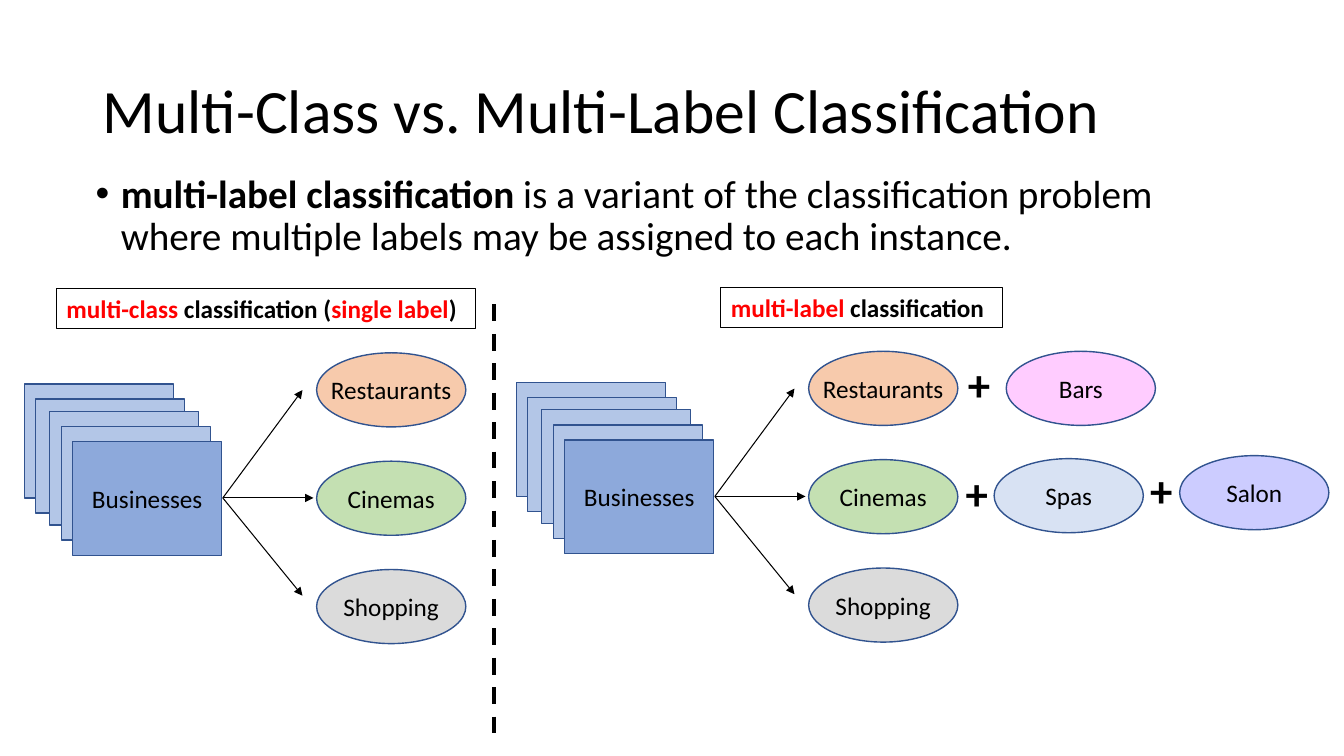
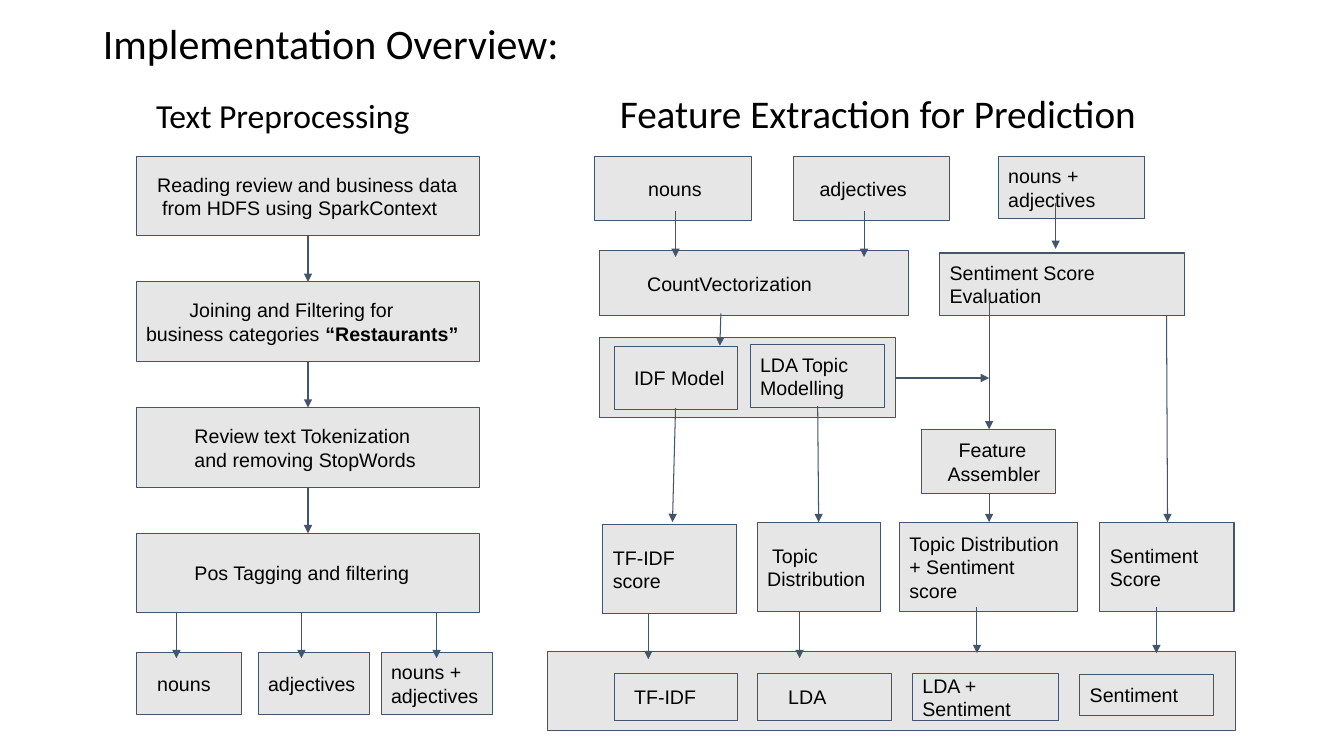
from pptx import Presentation
from pptx.dml.color import RGBColor
from pptx.enum.dml import MSO_LINE
from pptx.enum.shapes import MSO_CONNECTOR, MSO_SHAPE
from pptx.enum.text import MSO_ANCHOR, MSO_AUTO_SIZE, PP_ALIGN
from pptx.oxml.ns import qn
from pptx.util import Inches, Pt
from lxml import etree

RECT, OVAL = MSO_SHAPE.RECTANGLE, MSO_SHAPE.OVAL
LINE, DASH = MSO_CONNECTOR.STRAIGHT, MSO_LINE.DASH
TOP, MIDDLE = MSO_ANCHOR.TOP, MSO_ANCHOR.MIDDLE
LEFT, CENTER = PP_ALIGN.LEFT, PP_ALIGN.CENTER
FIXED = MSO_AUTO_SIZE.NONE

BLACK, RED = "000000", "FF0000"
EDGE, PALE, BLUE = "31538F", "B3C6E7", "8DA9DB"
PEACH, GREEN, GRAY = "F7CAAC", "C4E0B2", "DBDBDB"
PINK, SKY, LILAC = "FFCCFF", "D8E2F3", "CCCCFF"
STEEL, ASH = "44546A", "E7E6E6"
SANS, ARIAL = "Calibri", "Arial"


def cells(*counts):
    return [Inches(count / 10) for count in counts]


def paint(target, color):
    if color is None:
        target.background()
        return
    if hasattr(target, "solid"):
        target.solid()
        target.fore_color.rgb = RGBColor.from_string(color)
    else:
        target.color.rgb = RGBColor.from_string(color)


def node(parent, tag, **attrs):
    return etree.SubElement(parent, qn(tag), **attrs)


def add_run(para, text, size, face=SANS, color=BLACK, bold=False):
    run = para.add_run()
    run.text = text
    font = run.font
    font.size, font.name, font.bold = Pt(size), face, bold
    font.color.rgb = RGBColor.from_string(color)


def set_frame(shape, anchor=TOP, pads=(1, 0.5), wrap=True):
    frame = shape.text_frame
    frame.auto_size, frame.word_wrap = FIXED, wrap
    frame.vertical_anchor = anchor
    side, edge = cells(*pads)
    frame.margin_left = frame.margin_right = side
    frame.margin_top = frame.margin_bottom = edge
    return frame


def add_text(shapes, box):
    frame = set_frame(shapes.add_textbox(*cells(*box)))
    return frame.paragraphs[0]


def add_form(shapes, kind, box, fill, edge, width):
    shape = shapes.add_shape(kind, *cells(*box))
    shape.shadow.inherit = False
    paint(shape.fill, fill)
    paint(shape.line, edge)
    shape.line.width = Pt(width)
    return shape


def add_line(shapes, ends, color, width=0.75, arrow=True):
    line = shapes.add_connector(LINE, *cells(*ends))
    paint(line.line, color)
    line.line.width = Pt(width)
    if arrow:
        node(line.line._get_or_add_ln(), "a:tailEnd", type="triangle")
    node(line._element.spPr, "a:effectLst")
    return line


def add_slide(deck, title, size, box):
    slide = deck.slides.add_slide(deck.slide_layouts[5])
    shape = slide.shapes.title
    shape.left, shape.top, shape.width, shape.height = cells(*box)
    para = set_frame(shape, MIDDLE).paragraphs[0]
    para.alignment, para.line_spacing = LEFT, 0.9
    add_run(para, title, size)
    return slide.shapes


def add_label(shapes, kind, box, fill, text):
    shape = add_form(shapes, kind, box, fill, EDGE, 1)
    if text:
        para = set_frame(shape, MIDDLE, (0, 0), False).paragraphs[0]
        para.alignment = CENTER
        add_run(para, text, 18)


def add_panel(shapes, left, top, extras=(), signs=()):
    group = shapes.add_group_shape().shapes
    for x, y in ((0, 3.1), (1.1, 4.6), (2.5, 5.8), (3.7, 7.3), (4.8, 8.8)):
        front = x == 4.8
        add_label(group, RECT, (left + x, top + y, 14.8, 11.3),
                  BLUE if front else PALE, "Businesses" if front else "")
    for x, y in ((27.6, 3.7), (28.7, 14.4), (27.6, 24.1)):
        add_line(group, (left + 19.7, top + 14.4, left + x, top + y), BLACK)
    kinds = (("Restaurants", PEACH), ("Cinemas", GREEN), ("Shopping", GRAY))
    ovals = [(29, row * 10.75, name, fill)
             for row, (name, fill) in enumerate(kinds)]
    for x, y, name, fill in ovals + list(extras):
        add_label(group, OVAL, (left + x, top + y, 14.8, 7.35), fill, name)
    for x, y in signs:
        para = add_text(group, (left + x, top + y, 5.9, 6.4))
        add_run(para, "+", 32, bold=True)


def add_tag(shapes, box, parts):
    shape = add_form(shapes, RECT, box, None, BLACK, 0.75)
    para = set_frame(shape, wrap=False).paragraphs[0]
    para.alignment = LEFT
    for text, color in parts:
        add_run(para, text, 18, color=color, bold=True)


def add_lead(shapes, box, parts):
    para = add_text(shapes, box)
    para.line_spacing = 0.9
    props = para._p.get_or_add_pPr()
    hang = Inches(0.25)
    props.set("marL", str(hang))
    props.set("indent", str(-hang))
    node(props, "a:buFont", typeface=ARIAL)
    node(props, "a:buChar", char="•")
    for text, bold in parts:
        add_run(para, text, 28, bold=bold)


def add_step(shapes, box, *lines):
    shape = add_form(shapes, RECT, box, ASH, STEEL, 0.75)
    frame = set_frame(shape, MIDDLE, (1, 1))
    for index, (inset, text, *strong) in enumerate(lines):
        para = frame.add_paragraph() if index else frame.paragraphs[0]
        para.alignment = LEFT
        para._p.get_or_add_pPr().set("marL", str(cells(inset)[0]))
        add_run(para, text, 14, ARIAL)
        for word in strong:
            add_run(para, word, 14, ARIAL, bold=True)


def add_prep(shapes, left, top):
    wide, tall, pitch = 34.1, 7.9, 12.47
    steps = (
        ((1.1, "Reading review and business data"),
         (1.6, "from HDFS using SparkContext")),
        ((4.3, "Joining and Filtering for"),
         (0, "business categories ", "“Restaurants”")),
        ((4.8, "Review text Tokenization"), (4.8, "and removing StopWords")),
        ((4.8, "Pos Tagging and filtering"),),
    )
    for row, lines in enumerate(steps):
        add_step(shapes, (left, top + row * pitch, wide, tall), *lines)
    outs = (
        (0, 10.5, 4, ((1.1, "nouns"),)),
        (12.1, 11.1, 16.4, ((0, "adjectives"),)),
        (24.3, 11.1, 29.8, ((0, "nouns +"), (0, "adjectives"))),
    )
    for x, width, mid, lines in outs:
        add_step(shapes, (left + x, top + 49.2, width, 6.2), *lines)
        add_line(shapes, (left + mid, top + 45.2, left + mid, top + 49.8),
                 STEEL)
    mid = left + wide / 2
    for row in range(len(steps) - 1):
        head = top + row * pitch
        add_line(shapes, (mid, head + tall, mid, head + pitch), STEEL)


def add_flow(shapes, left, top):
    steps = (
        (4.7, 0, 15.5, 6.4, (4.3, "nouns")),
        (24.4, 0, 15.5, 6.4, (1.6, "adjectives")),
        (44.7, 0, 14.5, 6.2, (0, "nouns + adjectives")),
        (5.2, 9.4, 30.6, 6.4, (3.7, "CountVectorization")),
        (38.9, 9.6, 24.3, 6.2, (0, "Sentiment Score Evaluation")),
        (5.2, 18, 29.3, 7.9),
        (6.6, 18.9, 12.2, 6.2, (1, "IDF Model")),
        (20.1, 18.7, 13.3, 6.2, (0, "LDA Topic Modelling")),
        (37.1, 27.1, 13.3, 6.4, (2.7, "Feature"), (1.6, "Assembler")),
        (34.9, 36.3, 17.7, 8.9, (0, "Topic Distribution + Sentiment score")),
        (5.5, 36.5, 13.3, 8.9, (0, "TF-IDF"), (0, "score")),
        (20.8, 36.3, 12.2, 8.9, (0.5, "Topic"), (0, "Distribution")),
        (54.8, 36.3, 13.3, 8.9, (0, "Sentiment Score")),
        (0, 49.1, 68.2, 7.9),
        (6.6, 51.3, 12.2, 4.7, (1, "TF-IDF")),
        (20.8, 51.3, 13.3, 4.7, (2.1, "LDA")),
        (36.2, 51.3, 14.5, 4.7, (0, "LDA + Sentiment")),
        (52.8, 51.4, 13.3, 4.1, (0, "Sentiment")),
    )
    for x, y, width, height, *lines in steps:
        add_step(shapes, (left + x, top + y, width, height), *lines)
    drops = ((12.7, 5.4), (31.4, 5.4), (50.4, 4.6),
             (10, 45.3), (25, 45.2), (42.6, 44.7), (60.4, 44.7))
    links = [(x, y, x, y + 4.6) for x, y in drops] + [
        (17.2, 15.6, 17.1, 18.8), (12.7, 25, 12.4, 36.3),
        (26.8, 24.8, 26.9, 36.3), (43.8, 33.4, 43.8, 36.3),
        (43.8, 14, 43.8, 27.1), (34.5, 22, 43.8, 22),
        (61.4, 15.8, 61.5, 36.3)]
    for x, y, right, low in links:
        add_line(shapes, (left + x, top + y, left + right, top + low), STEEL)


def add_heads(shapes, box, gap):
    para = add_text(shapes, box)
    para.line_spacing = 0.9
    tabs = node(para._p.get_or_add_pPr(), "a:tabLst")
    node(tabs, "a:tab", pos=str(cells(gap)[0]), algn="l")
    add_run(para, "Text Preprocessing\t", 24)
    add_run(para, "Feature Extraction for Prediction", 28)


def label_slide(deck):
    shapes = add_slide(deck, "Multi-Class vs. Multi-Label Classification",
                       44, (9.2, 4, 115, 14.5))
    add_lead(shapes, (8.5, 16.8, 115, 12.8), (
        ("multi-label classification", True),
        (" is a variant of the classification problem where multiple labels "
         "may be assigned to each instance.", False)))
    add_panel(shapes, 2.4, 35)
    add_panel(shapes, 51.2, 34.85,
              [(48.6, 0, "Bars", PINK), (47.4, 10.65, "Spas", SKY),
               (65.8, 10.35, "Salon", LILAC)],
              ((43.8, 0), (43.6, 10.85), (61.9, 10.55)))
    rule = add_line(shapes, (49, 30.2, 49, 73.3), BLACK, 3, False)
    rule.line.dash_style = DASH
    add_tag(shapes, (5.6, 28.6, 41.6, 4), (
        ("multi-class", RED), (" classification (", BLACK),
        ("single label", RED), (")", BLACK)))
    add_tag(shapes, (71.5, 28.5, 27.9, 4), (
        ("multi-label", RED), (" classification", BLACK)))


def flow_slide(deck):
    shapes = add_slide(deck, "Implementation Overview:",
                       30, (9.2, 1.5, 115, 6.2))
    add_heads(shapes, (14.5, 8.9, 110, 5.5), 46)
    add_prep(shapes, 13.5, 15.5)
    add_flow(shapes, 54.3, 15.5)


def main():
    deck = Presentation()
    deck.slide_width, deck.slide_height = Inches(13.33), Inches(7.5)
    label_slide(deck)
    flow_slide(deck)
    deck.save("out.pptx")


if __name__ == "__main__":
    main()
